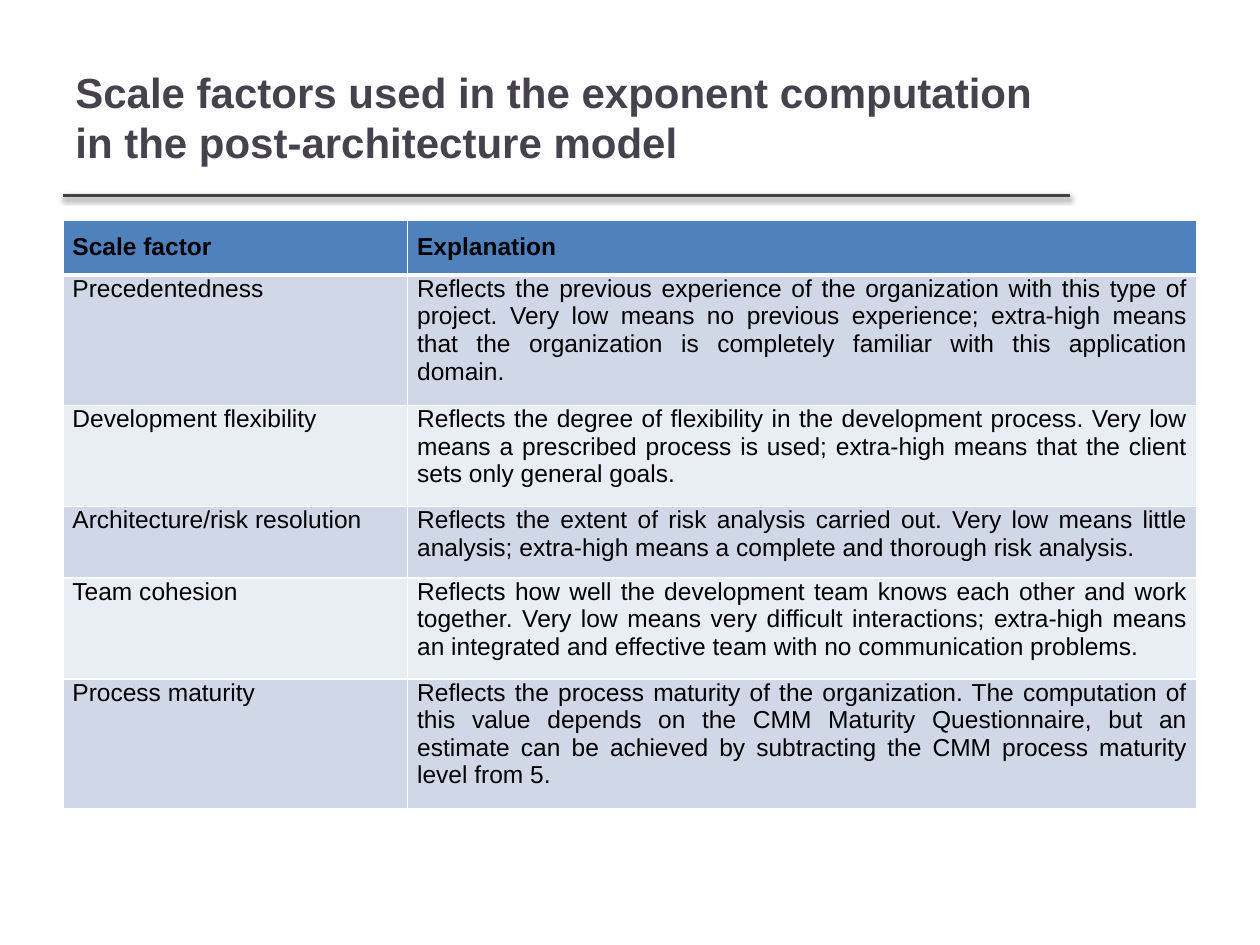
from lxml import etree
from pptx import Presentation, util as u
from pptx.dml.color import RGBColor
from pptx.enum import shapes, text
from pptx.oxml import ns, parse_xml

COLORS = {
    "title": "46424D", "rule": "404040", "text": "000000", "border": "FFFFFF",
    "header": "4F81BD", "odd": "D0D8E8", "even": "E9EDF4",
}
ROWS = [
    ("Scale factor", "Explanation"),
    ("Precedentedness",
     "Reflects the previous experience of the organization with this type of "
     "project. Very low means no previous experience; extra-high means that the "
     "organization is completely familiar with this application domain."),
    ("Development flexibility",
     "Reflects the degree of flexibility in the development process. Very low "
     "means a prescribed process is used; extra-high means that the client sets "
     "only general goals."),
    ("Architecture/risk resolution",
     "Reflects the extent of risk analysis carried out. Very low means little "
     "analysis; extra-high means a complete and thorough risk analysis."),
    ("Team cohesion",
     "Reflects how well the development team knows each other and work together. "
     "Very low means very difficult interactions; extra-high means an integrated "
     "and effective team with no communication problems."),
    ("Process maturity",
     "Reflects the process maturity of the organization. The computation of this "
     "value depends on the CMM Maturity Questionnaire, but an estimate can be "
     "achieved by subtracting the CMM process maturity level from 5."),
]


def set_all(target, values):
    for name, value in values.items():
        setattr(target, name, value)


class SlideBuilder:
    font = "Arial"

    def __init__(self, slide):
        self.slide = slide

    def add_words(self, frame, words, size, color, bold, align):
        paragraph = frame.paragraphs[0]
        paragraph.alignment = align
        run = paragraph.add_run()
        run.text = words
        set_all(run.font, {"name": self.font, "size": u.Pt(size), "bold": bold})
        run.font.color.rgb = RGBColor.from_string(COLORS[color])

    def title(self, words, left, top, width, height):
        box = self.slide.shapes.add_textbox(*map(u.Pt, (left, top, width, height)))
        set_all(box.text_frame, {"word_wrap": True,
                                 "vertical_anchor": text.MSO_ANCHOR.MIDDLE})
        self.add_words(box.text_frame, words, 24, "title", True, text.PP_ALIGN.LEFT)

    def rule(self, left, right, y):
        line = self.slide.shapes.add_connector(
            shapes.MSO_CONNECTOR.STRAIGHT, *map(u.Pt, (left, y, right, y)))
        line.line.width = u.Pt(2)
        line.line.color.rgb = RGBColor.from_string(COLORS["rule"])
        # Soft shadow straight below the line
        effects = etree.SubElement(line._element.spPr, ns.qn("a:effectLst"))
        effects.append(parse_xml(
            f'<a:outerShdw {ns.nsdecls("a")} blurRad="{u.Pt(3.1)}" '
            f'dist="{u.Pt(1.6)}" dir="5400000" rotWithShape="0">'
            '<a:srgbClr val="000000"><a:alpha val="38000"/></a:srgbClr>'
            '</a:outerShdw>'))

    def borders(self, cell, widths):
        properties = cell._tc.get_or_add_tcPr()
        for side, width in widths.items():
            properties.append(parse_xml(
                f'<a:ln{side} {ns.nsdecls("a")} w="{u.Pt(width)}"><a:solidFill>'
                f'<a:srgbClr val="{COLORS["border"]}"/></a:solidFill></a:ln{side}>'))

    def cell(self, cell, words, row):
        header = row == 0
        set_all(cell, {"margin_left": u.Pt(5.4), "margin_right": u.Pt(5.4),
                       "margin_top": u.Pt(7.2 if header else 0),
                       "margin_bottom": u.Pt(7.2)})
        self.borders(cell, {"L": 1, "R": 1, "T": 3 if row == 1 else 1,
                            "B": 3 if header else 1})
        fill = "header" if header else "odd" if row % 2 else "even"
        cell.fill.solid()
        cell.fill.fore_color.rgb = RGBColor.from_string(COLORS[fill])
        self.add_words(cell.text_frame, words, 14, "text", header,
                       text.PP_ALIGN.JUSTIFY)

    def table(self, rows, left, top, widths, row_height):
        table = self.slide.shapes.add_table(
            len(rows), len(widths), u.Pt(left), u.Pt(top),
            u.Pt(sum(widths)), u.Pt(row_height * len(rows))).table
        for column, width in zip(table.columns, widths):
            column.width = u.Pt(width)
        for row, values in enumerate(rows):
            table.rows[row].height = u.Pt(row_height)
            for column, words in enumerate(values):
                self.cell(table.cell(row, column), words, row)


presentation = Presentation()
set_all(presentation, {"slide_width": u.Pt(720), "slide_height": u.Pt(540)})
builder = SlideBuilder(presentation.slides.add_slide(presentation.slide_layouts[6]))

# Heading
builder.rule(36, 611.5, 111.6)
builder.title("Scale factors used in the exponent computation in the "
              "post-architecture model", 36, 21.6, 575, 90)

# Scale factor table
builder.table(ROWS, 36, 126, (197, 451), 29.2)

presentation.save("out.pptx")
